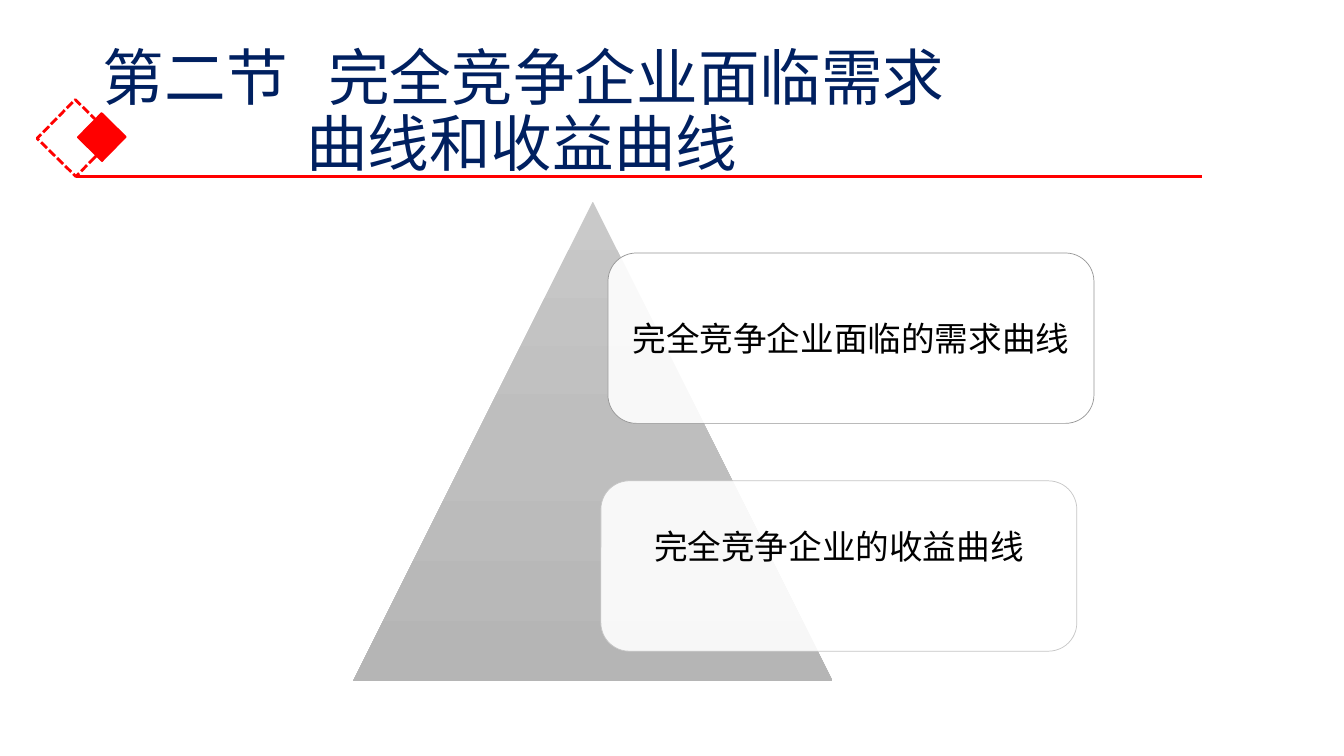
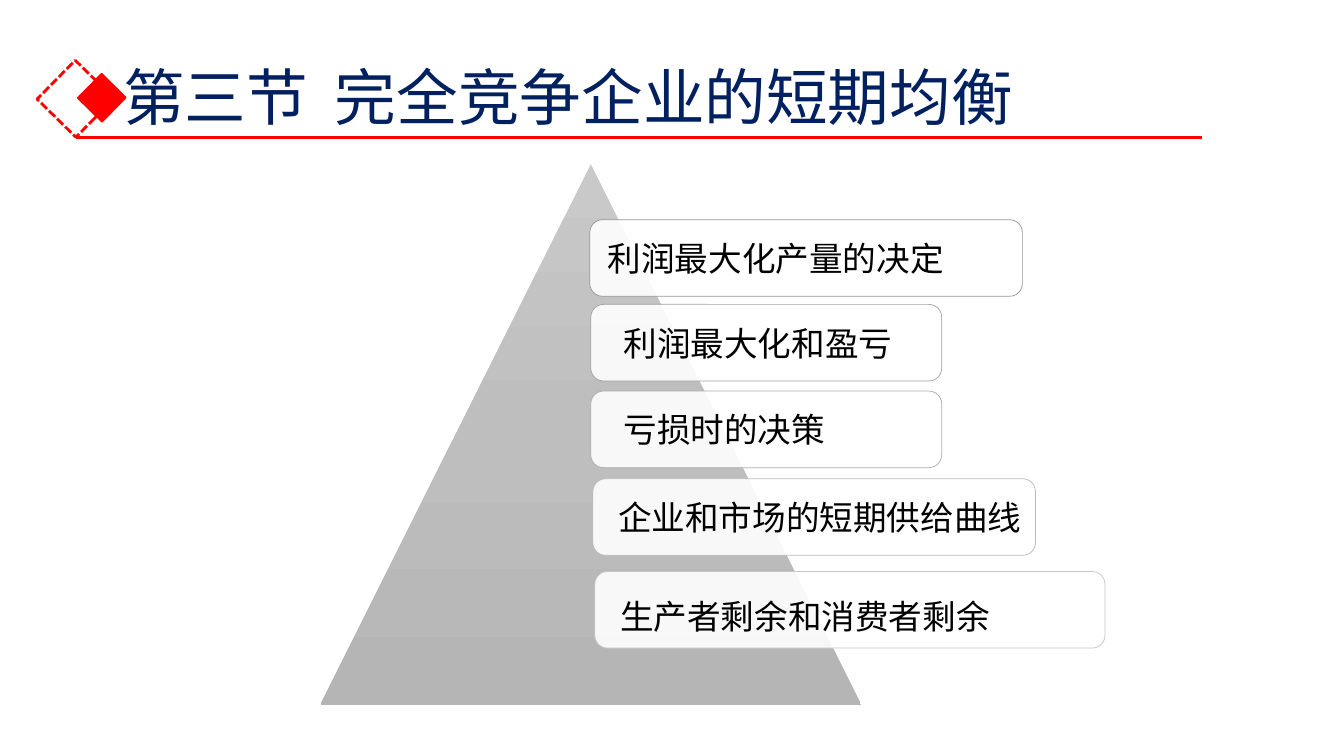
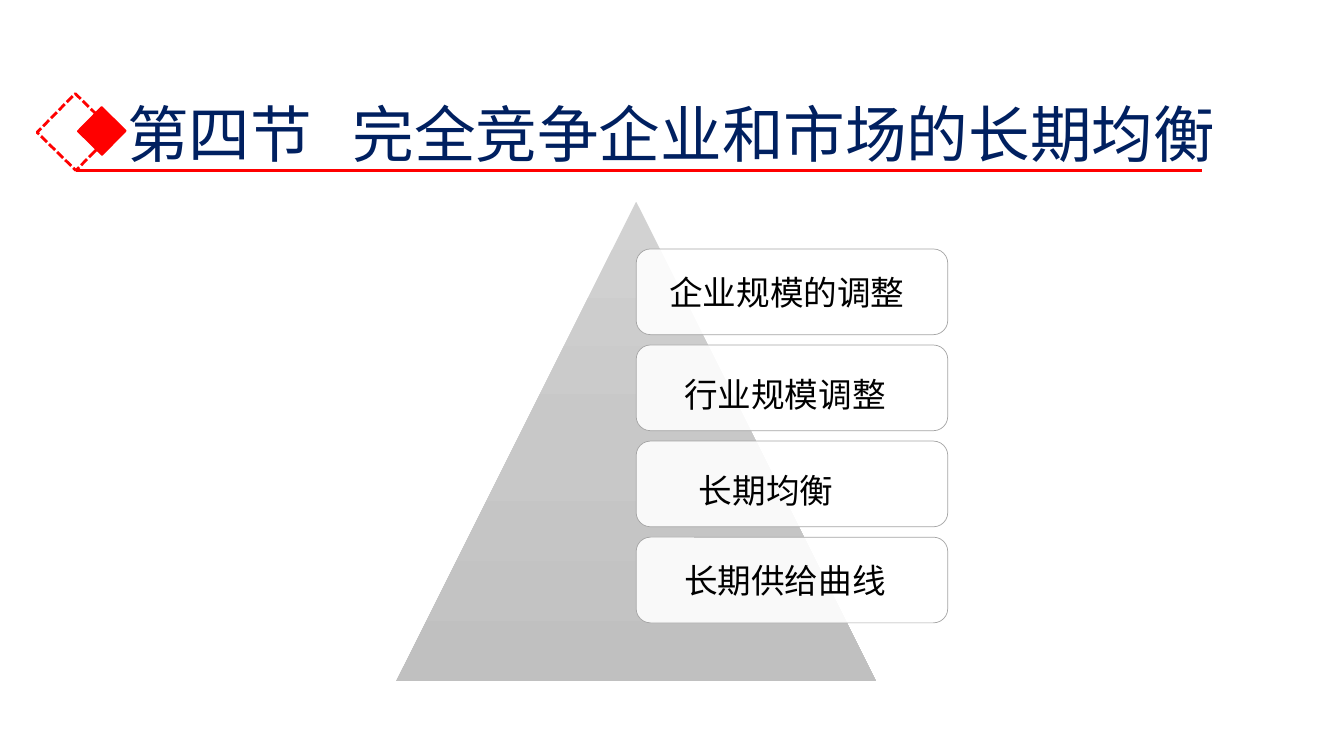
from copy import deepcopy

from lxml import etree
from pptx import Presentation
from pptx import util as u
from pptx.dml.color import RGBColor
from pptx.enum import dml, shapes, text
from pptx.oxml.ns import qn

NAVY = RGBColor(0x00, 0x20, 0x60)
RED = RGBColor(0xFF, 0x00, 0x00)
BLACK = RGBColor(0x00, 0x00, 0x00)
WHITE = RGBColor(0xFF, 0xFF, 0xFF)
DARK_GREYS = [RGBColor(g, g, g) for g in (0xC9, 0xBE, 0xB5)]
LIGHT_GREYS = [RGBColor(g, g, g) for g in (0xD2, 0xC8, 0xC0)]
FONT = "Noto Sans CJK SC"
TITLE_FONT = {"size": u.Pt(44), "bold": False, "name": FONT}
LABEL_FONT = {"size": u.Pt(24), "bold": False, "name": FONT}
SPACE = 0.22  # width of a space, in ems

prs = Presentation()
prs.slide_width, prs.slide_height = u.Inches(13.33), u.Inches(7.5)
COL, ROW = prs.slide_width / 133.3, prs.slide_height / 75


def add_box(s, kind, x, y, w, h):
    """Add a shape without shadow, placed in columns and rows."""
    sp = s.shapes.add_shape(kind, int(x * COL), int(y * ROW), int(w * COL), int(h * ROW))
    sp.shadow.inherit = False
    return sp


def write(p, words, fmt, color):
    """Add a run in the deck's font for Latin and East Asian text."""
    r = p.add_run()
    r.text = words
    r.font.color.rgb = color
    for key, value in fmt.items():
        setattr(r.font, key, value)
    etree.SubElement(r.font._element, qn("a:ea"), typeface=FONT)


# Labels: words, x, y, width, indent in spaces (None = centred), shift down
slides = [
    {"title": ("第二节", "完全竞争企业面临需求"), "second": "曲线和收益曲线", "gap": 3,
     "box": (9.2, 4, 115, 14.5), "rule": 17.5,
     "peak": (35, 20, 47.6), "greys": DARK_GREYS, "height": 16.9, "edges": (0x96, 0xC6),
     "labels": [("完全竞争企业面临的需求曲线", 60.3, 25.1, 48.2, None, 0),
                ("完全竞争企业的收益曲线", 59.6, 47.7, 47.2, None, -2)]},
    {"title": ("第三节", "完全竞争企业的短期均衡"), "second": None, "gap": 2,
     "box": (11.2, 2.7, 113, 14.5), "rule": 13.6,
     "peak": (31.8, 16.3, 53.6), "greys": DARK_GREYS, "height": 7.6, "edges": (0x96, 0xC6),
     "labels": [("利润最大化产量的决定", 58.5, 21.8, 42.9, 0, 0),
                ("利润最大化和盈亏", 58.6, 30.2, 34.8, 2, 0),
                ("亏损时的决策", 58.6, 38.8, 34.8, 2, 0),
                ("企业和市场的短期供给曲线", 58.8, 47.5, 43.9, 1, 0),
                ("生产者剩余和消费者剩余", 59, 56.7, 50.6, 1, 0.6)]},
    {"title": ("第四节", "完全竞争企业和市场的长期均衡"), "second": None, "gap": 3,
     "box": (11.6, 6.4, 112.5, 14.5), "rule": 16.9,
     "peak": (39.3, 20, 47.6), "greys": LIGHT_GREYS, "height": 8.5, "edges": (0xA5, 0xA5),
     "labels": [(words, 63.1, 24.7 + 9.53 * i, 30.9, indent, shift)
                for i, (words, indent, shift) in enumerate([
                    ("企业规模的调整", 2, 0), ("行业规模调整", 4, 0.6),
                    ("长期均衡", 6, 0.6), ("长期供给曲线", 4, 0)])]},
]

for d in slides:
    s = prs.slides.add_slide(prs.slide_layouts[5])

    # Title: section number, tab, heading
    sp = s.shapes.title
    x, y, w, h = d["box"]
    sp.left, sp.top, sp.width, sp.height = int(x * COL), int(y * ROW), int(w * COL), int(h * ROW)
    tf = sp.text_frame
    for key, value in {"word_wrap": True, "auto_size": text.MSO_AUTO_SIZE.NONE,
                       "vertical_anchor": text.MSO_ANCHOR.MIDDLE}.items():
        setattr(tf, key, value)
    p = tf.paragraphs[0]
    tabs = etree.SubElement(p._p.get_or_add_pPr(), qn("a:tabLst"))
    stop = int(u.Pt(44) * (3 + SPACE * d["gap"]))
    etree.SubElement(tabs, qn("a:tab"), pos=str(stop), algn="l")
    write(p, "\t".join(d["title"]), TITLE_FONT, NAVY)
    if d["second"]:
        p = tf.add_paragraph()
        p._p.get_or_add_pPr().set("marL", str(int(u.Pt(44) * SPACE * 15)))
        write(p, d["second"], TITLE_FONT, NAVY)
    for p in tf.paragraphs:
        p.alignment, p.line_spacing = text.PP_ALIGN.LEFT, 0.9

    # Pyramid with a three-stop grey gradient
    x, y, size = d["peak"]
    sp = add_box(s, shapes.MSO_SHAPE.ISOSCELES_TRIANGLE, x, y, size, size)
    sp.line.fill.background()
    sp.fill.gradient()
    sp.fill.gradient_angle = 270
    stops = sp._element.find(".//" + qn("a:gsLst"))
    stops.append(deepcopy(stops[-1]))
    for i, (stop, grey) in enumerate(zip(sp.fill.gradient_stops, d["greys"])):
        stop.position, stop.color.rgb = i / 2, grey

    # Translucent labels, outlines fading down the list
    first, last = d["edges"]
    for i, (words, x, y, w, indent, shift) in enumerate(d["labels"]):
        sp = add_box(s, shapes.MSO_SHAPE.ROUNDED_RECTANGLE, x, y, w, d["height"])
        sp.fill.solid()
        sp.fill.fore_color.rgb = WHITE
        color = sp._element.spPr.find(qn("a:solidFill"))[0]
        etree.SubElement(color, qn("a:alpha"), val="90000")
        g = first + (last - first) * i // (len(d["labels"]) - 1)
        sp.line.color.rgb, sp.line.width = RGBColor(g, g, g), u.Pt(0.5)
        tf = sp.text_frame
        left = 0 if indent is None else int(1.4 * COL + u.Pt(24) * SPACE * indent)
        for key, value in {"word_wrap": True, "vertical_anchor": text.MSO_ANCHOR.MIDDLE,
                           "margin_left": left, "margin_right": 0,
                           "margin_top": int(max(shift, 0) * 2 * ROW),
                           "margin_bottom": int(max(-shift, 0) * 2 * ROW)}.items():
            setattr(tf, key, value)
        p = tf.paragraphs[0]
        p.alignment = text.PP_ALIGN.CENTER if indent is None else text.PP_ALIGN.LEFT
        write(p, words, LABEL_FONT, BLACK)

    # Red diamonds and title rule
    rule = d["rule"]
    for x, rise, size, width in [(4.8, 6.5, 5.4, 2), (8.4, 5.6, 3.4, 1)]:
        sp = add_box(s, shapes.MSO_SHAPE.RECTANGLE, x, rule - rise, size, size)
        sp.rotation = 314.5
        sp.line.color.rgb, sp.line.width = RED, u.Pt(width)
        if width == 2:
            sp.fill.background()
            sp.line.dash_style = dml.MSO_LINE.SQUARE_DOT
        else:
            sp.fill.solid()
            sp.fill.fore_color.rgb = RED
    line = s.shapes.add_connector(shapes.MSO_CONNECTOR.STRAIGHT, int(7.5 * COL), int(rule * ROW),
                                  int(119.2 * COL), int(rule * ROW))
    line.line.color.rgb, line.line.width = RED, u.Pt(2.25)
    etree.SubElement(line._element.spPr, qn("a:effectLst"))

prs.save("out.pptx")
